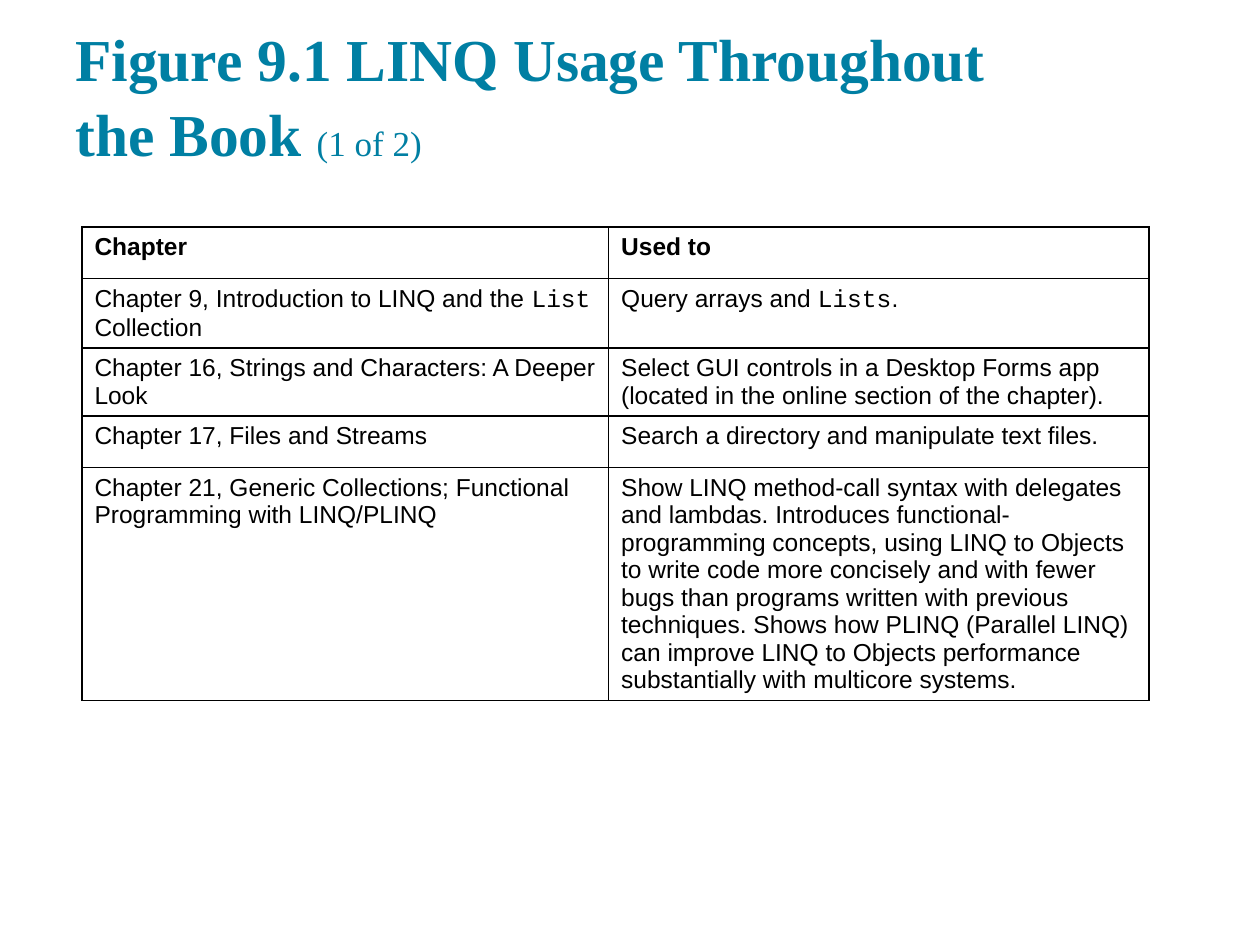
from lxml import etree
from pptx import Presentation
from pptx import util as u
from pptx.dml.color import RGBColor
from pptx.enum import text
from pptx.oxml.ns import qn

COLORS = {"heading": "007FA3", "ink": "000000", "paper": "FFFFFF"}
BODY, CODE, HEADING = "Arial", "Courier New", "Times New Roman"


def add_run(paragraph, words, font=BODY, size=14, color="ink", bold=False):
    run = paragraph.add_run()
    run.text = words
    run.font.name = font
    run.font.size = u.Pt(size)
    run.font.bold = bold
    run.font.color.rgb = RGBColor.from_string(COLORS[color])


def outline_cell(cell, color="ink", width=1):
    properties = cell._tc.get_or_add_tcPr()
    for position, edge in enumerate(("a:lnL", "a:lnR", "a:lnT", "a:lnB")):
        line = etree.Element(qn(edge), w=str(u.Pt(width)))
        fill = etree.SubElement(line, qn("a:solidFill"))
        etree.SubElement(fill, qn("a:srgbClr"), val=COLORS[color])
        properties.insert(position, line)


class Deck:
    def __init__(self):
        self.presentation = Presentation()
        self.presentation.slide_width = u.Inches(10)
        self.presentation.slide_height = u.Inches(7.5)
        self.slide = None

    def add_slide(self):
        title_only = self.presentation.slide_layouts[5]
        self.slide = self.presentation.slides.add_slide(title_only)

    def title(self, heading, part, left, top, width, height):
        title = self.slide.shapes.title
        title.left, title.top = u.Inches(left), u.Inches(top)
        title.width, title.height = u.Inches(width), u.Inches(height)
        frame = title.text_frame
        frame.auto_size = text.MSO_AUTO_SIZE.NONE
        frame.vertical_anchor = text.MSO_ANCHOR.BOTTOM
        frame.margin_left = frame.margin_right = u.Inches(0.1)
        frame.margin_top = frame.margin_bottom = u.Inches(0.1)
        paragraph = frame.paragraphs[0]
        paragraph.alignment = text.PP_ALIGN.LEFT
        paragraph.line_spacing = 1.05
        add_run(paragraph, heading, font=HEADING, size=34, color="heading", bold=True)
        add_run(paragraph, part, font=HEADING, size=20, color="heading")

    def table(self, rows, left, top, widths, row_height):
        """Rows hold cells; a cell is a list of (words, font) pieces. Row 0 is bold."""
        table = self.slide.shapes.add_table(
            len(rows), len(widths), u.Inches(left), u.Inches(top),
            u.Inches(sum(widths)), u.Inches(row_height * len(rows))).table
        for column, width in zip(table.columns, widths):
            column.width = u.Inches(width)
        for r, row in enumerate(rows):
            table.rows[r].height = u.Inches(row_height)
            for c, pieces in enumerate(row):
                cell = table.cell(r, c)
                cell.fill.solid()
                cell.fill.fore_color.rgb = RGBColor.from_string(COLORS["paper"])
                outline_cell(cell)
                for words, font in pieces:
                    add_run(cell.text_frame.paragraphs[0], words, font=font, bold=r == 0)

    def save(self):
        self.presentation.save("out.pptx")


LINQ_USES = [
    [[("Chapter", BODY)], [("Used to", BODY)]],
    [[("Chapter 9, Introduction to LINQ and the ", BODY), ("List", CODE),
      (" Collection", BODY)],
     [("Query arrays and ", BODY), ("Lists", CODE), (".", BODY)]],
    [[("Chapter 16, Strings and Characters: A Deeper Look", BODY)],
     [("Select GUI controls in a Desktop Forms app "
       "(located in the online section of the chapter).", BODY)]],
    [[("Chapter 17, Files and Streams", BODY)],
     [("Search a directory and manipulate text files.", BODY)]],
    [[("Chapter 21, Generic Collections; Functional Programming with LINQ/PLINQ", BODY)],
     [("Show LINQ method-call syntax with delegates and lambdas. Introduces "
       "functional-programming concepts, using LINQ to Objects to write code more "
       "concisely and with fewer bugs than programs written with previous techniques. "
       "Shows how PLINQ (Parallel LINQ) can improve LINQ to Objects performance "
       "substantially with multicore systems.", BODY)]],
]


def main():
    deck = Deck()
    deck.add_slide()
    deck.title("Figure 9.1 LINQ Usage Throughout the Book ", "(1 of 2)",
               left=0.5, top=0.24, width=7.98, height=1.2)
    deck.table(LINQ_USES, left=0.65, top=1.8, widths=(4.18, 4.29), row_height=0.41)
    deck.save()


if __name__ == "__main__":
    main()
